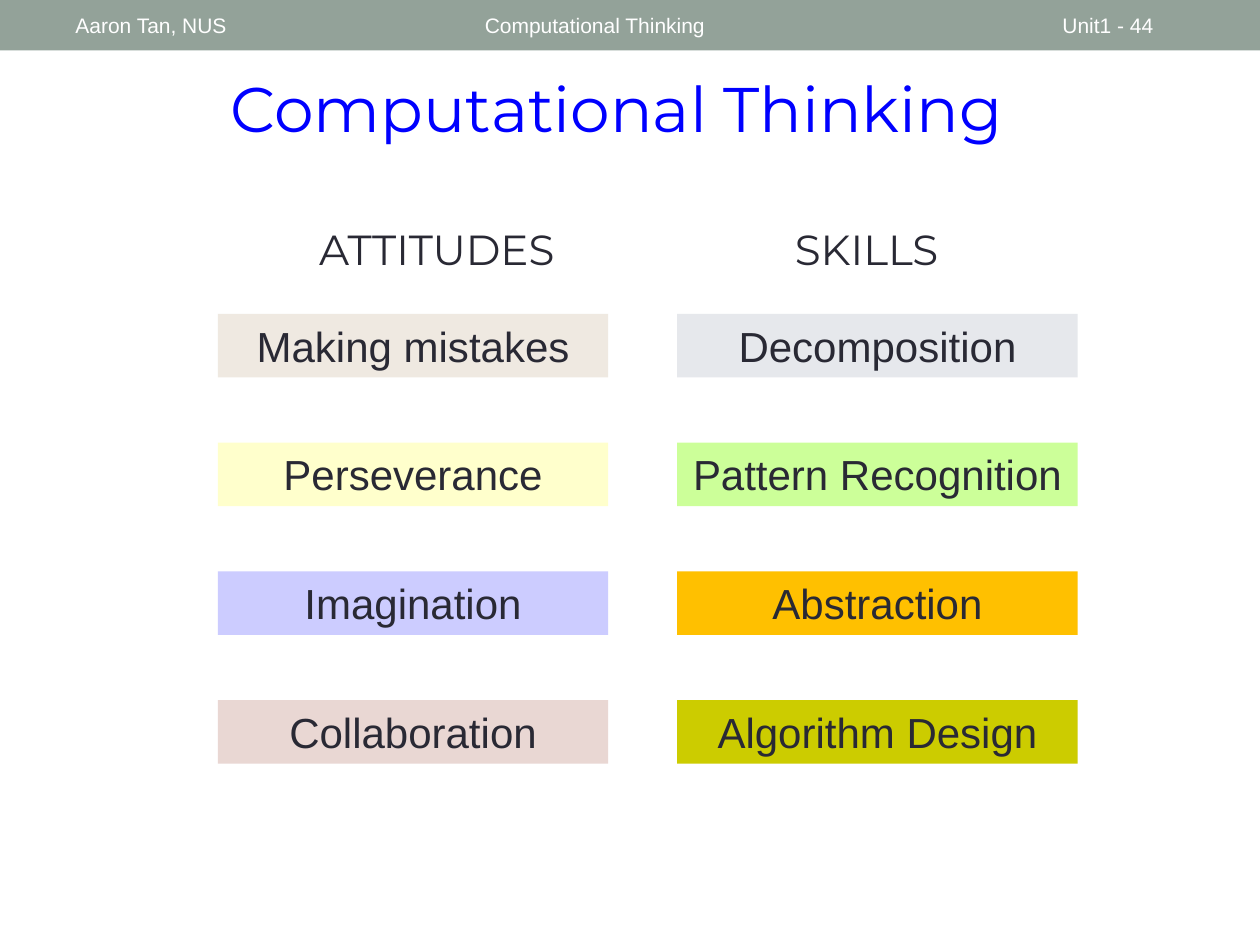
from dataclasses import dataclass

from pptx import Presentation
from pptx.dml.color import RGBColor
from pptx.enum.shapes import MSO_SHAPE
from pptx.enum.text import MSO_ANCHOR, PP_ALIGN
from pptx.shapes.base import BaseShape
from pptx.slide import Slide
from pptx.util import Pt

WHITE = RGBColor(0xFF, 0xFF, 0xFF)
INK = RGBColor(0x29, 0x29, 0x34)
BLUE = RGBColor(0x00, 0x00, 0xFF)
SAGE = RGBColor(0x93, 0xA2, 0x99)
LINEN = RGBColor(0xEF, 0xE9, 0xE1)
CREAM = RGBColor(0xFF, 0xFF, 0xCC)
LAVENDER = RGBColor(0xCC, 0xCC, 0xFF)
ROSE = RGBColor(0xE9, 0xD7, 0xD3)
MIST = RGBColor(0xE6, 0xE8, 0xEC)
LIME = RGBColor(0xCC, 0xFF, 0x99)
AMBER = RGBColor(0xFF, 0xC0, 0x00)
OLIVE = RGBColor(0xCC, 0xCC, 0x00)

BODY_FONT = "Arial"
HEADING_FONT = "Montserrat"
SLIDE_WIDTH, SLIDE_HEIGHT = 720, 540
HEADING_TOP, HEADING_WIDTH = 124, 170
FIRST_ROW_TOP, ROW_PITCH, ROW_HEIGHT = 179.4, 73.55, 36.3


@dataclass(frozen=True)
class Box:
    """A rectangle in points."""
    left: float
    top: float
    width: float
    height: float

    def lengths(self) -> tuple[Pt, Pt, Pt, Pt]:
        return Pt(self.left), Pt(self.top), Pt(self.width), Pt(self.height)


@dataclass(frozen=True)
class Column:
    heading: str
    heading_left: float
    left: float
    width: float
    items: tuple[tuple[str, RGBColor], ...]


HEADER_LABELS = (
    ("Computational Thinking", Box(270, 1.5, 324, 26)),
    ("Unit1 - 44", Box(600, 1.5, 84, 26)),
    ("Aaron Tan, NUS", Box(36, 1.5, 228, 26)),
)

COLUMNS = (
    Column("ATTITUDES", 164.6, 124.5, 223, (
        ("Making mistakes", LINEN),
        ("Perseverance", CREAM),
        ("Imagination", LAVENDER),
        ("Collaboration", ROSE),
    )),
    Column("SKILLS", 410.2, 387, 228.8, (
        ("Decomposition", MIST),
        ("Pattern Recognition", LIME),
        ("Abstraction", AMBER),
        ("Algorithm Design", OLIVE),
    )),
)


def write_text(shape: BaseShape, text: str, *, size: float, color: RGBColor = INK,
               font: str = BODY_FONT, align: PP_ALIGN = PP_ALIGN.CENTER,
               anchor: MSO_ANCHOR = MSO_ANCHOR.TOP) -> None:
    frame = shape.text_frame
    frame.word_wrap = True
    frame.vertical_anchor = anchor
    paragraph = frame.paragraphs[0]
    paragraph.alignment = align
    run = paragraph.add_run()
    run.text = text
    run.font.size = Pt(size)
    run.font.name = font
    run.font.color.rgb = color


def add_rectangle(slide: Slide, box: Box, fill: RGBColor) -> BaseShape:
    shape = slide.shapes.add_shape(MSO_SHAPE.RECTANGLE, *box.lengths())
    shape.shadow.inherit = False
    shape.fill.solid()
    shape.fill.fore_color.rgb = fill
    shape.line.fill.background()
    return shape


def add_label(slide: Slide, box: Box, text: str, **text_format) -> None:
    write_text(slide.shapes.add_textbox(*box.lengths()), text, **text_format)


def add_header(slide: Slide) -> None:
    add_rectangle(slide, Box(0, 0, SLIDE_WIDTH, 28.8), SAGE)
    for text, box in HEADER_LABELS:
        add_label(slide, box, text, size=12, color=WHITE,
                  align=PP_ALIGN.LEFT, anchor=MSO_ANCHOR.MIDDLE)


def add_column(slide: Slide, column: Column) -> None:
    heading_box = Box(column.heading_left, HEADING_TOP, HEADING_WIDTH, ROW_HEIGHT)
    add_label(slide, heading_box, column.heading, size=24, font=HEADING_FONT)
    for row, (text, fill) in enumerate(column.items):
        top = FIRST_ROW_TOP + row * ROW_PITCH
        box = Box(column.left, top, column.width, ROW_HEIGHT)
        write_text(add_rectangle(slide, box, fill), text, size=24)


def main() -> None:
    presentation = Presentation()
    presentation.slide_width = Pt(SLIDE_WIDTH)
    presentation.slide_height = Pt(SLIDE_HEIGHT)
    slide = presentation.slides.add_slide(presentation.slide_layouts[6])
    add_header(slide)
    add_label(slide, Box(124.5, 36, 503, 51), "Computational Thinking", size=36,
              color=BLUE, font=HEADING_FONT, align=PP_ALIGN.LEFT)
    for column in COLUMNS:
        add_column(slide, column)
    presentation.save("out.pptx")


if __name__ == "__main__":
    main()
